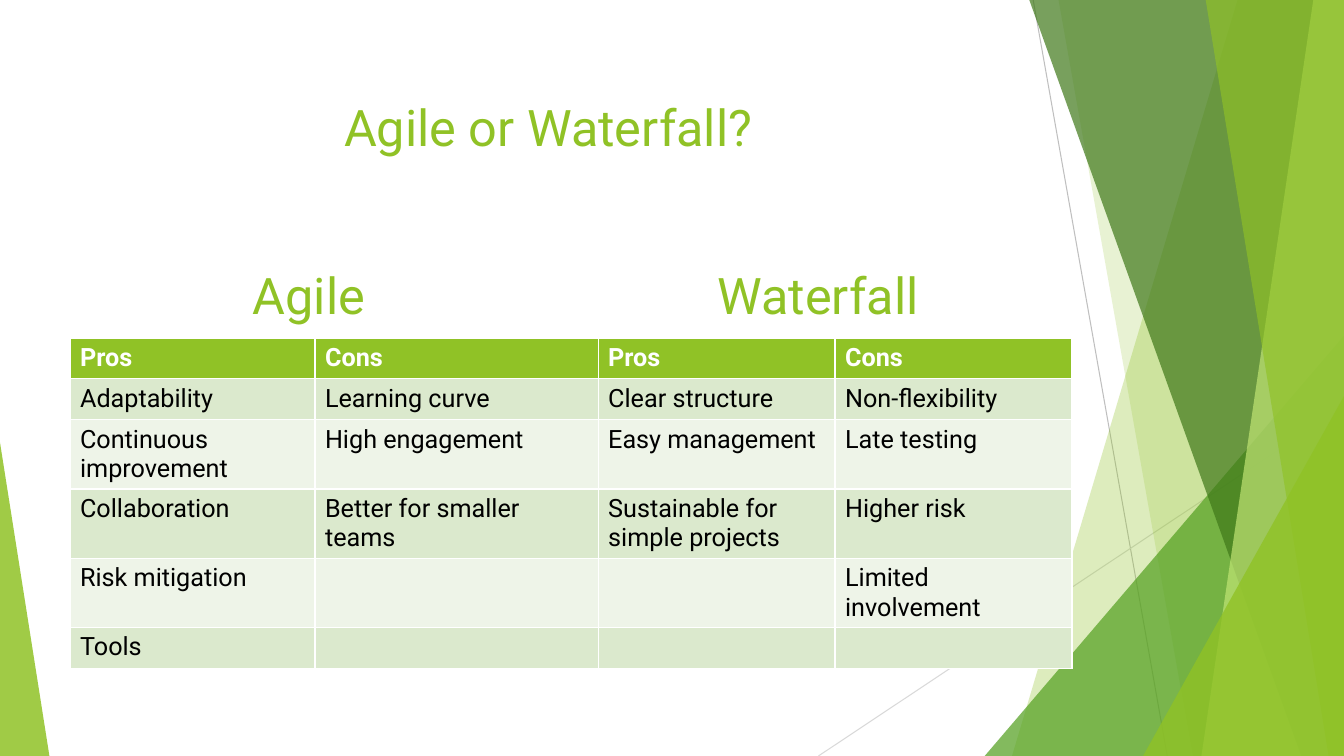
from lxml import etree
from pptx import Presentation
from pptx.dml.color import RGBColor
from pptx.enum.shapes import MSO_CONNECTOR, MSO_SHAPE
from pptx.enum.text import MSO_ANCHOR, MSO_AUTO_SIZE, PP_ALIGN
from pptx.oxml.ns import qn
from pptx.util import Pt

WIDTH, HEIGHT = 960, 540
BLEED = -0.7
FONT = "Roboto"
COLOURS = {
    "green": "90C226",
    "mid": "54A021",
    "dark": "3F7819",
    "lime": "C0E474",
    "grey": "BFBFBF",
    "pale_grey": "D9D9D9",
    "white": "FFFFFF",
    "black": "000000",
    "band": "DBE9CD",
    "pale_band": "EEF4E8",
}
COLUMN_WIDTHS = [175, 202.3, 169.2, 169.2]
ROW_HEIGHT = 29.2
ROWS = [
    ["Pros", "Cons", "Pros", "Cons"],
    ["Adaptability", "Learning curve", "Clear structure", "Non-flexibility"],
    ["Continuous improvement", "High engagement", "Easy management", "Late testing"],
    ["Collaboration", "Better for smaller teams", "Sustainable for simple projects", "Higher risk"],
    ["Risk mitigation", "", "", "Limited involvement"],
    ["Tools", "", "", ""],
]


def colour(name):
    """Return the named colour."""
    return RGBColor.from_string(COLOURS[name])


def style_font(para, size, name):
    """Set the font of a whole paragraph."""
    para.font.name = FONT
    para.font.size = Pt(size)
    para.font.color.rgb = colour(name)


def fill_facet(shape, name, opacity):
    """Give a facet a translucent fill without line or shadow."""
    shape.shadow.inherit = False
    shape.line.fill.background()
    shape.fill.solid()
    shape.fill.fore_color.rgb = colour(name)
    tint = shape.fill._xPr.find(qn("a:solidFill"))[0]
    etree.SubElement(tint, qn("a:alpha")).set("val", str(opacity * 1000))


def add_ray(page, start, end, name):
    """Draw a thin background line."""
    ray = page.shapes.add_connector(
        MSO_CONNECTOR.STRAIGHT, *[Pt(value) for value in start + end])
    ray.line.color.rgb = colour(name)
    ray.line.width = Pt(0.75)
    etree.SubElement(ray._element.spPr, qn("a:effectLst"))


def add_blade(page, top_x, bottom_x, name, opacity):
    """Draw a full-height facet that reaches the right edge."""
    builder = page.shapes.build_freeform(Pt(top_x), Pt(BLEED))
    corners = [(WIDTH, BLEED), (WIDTH, HEIGHT), (bottom_x, HEIGHT)]
    builder.add_line_segments([(Pt(x), Pt(y)) for x, y in corners], close=True)
    fill_facet(builder.convert_to_shape(), name, opacity)


def add_wedge(page, left, top, width, apex, name, opacity):
    """Draw a triangle standing on the bottom edge."""
    wedge = page.shapes.add_shape(
        MSO_SHAPE.ISOSCELES_TRIANGLE, Pt(left), Pt(top), Pt(width), Pt(HEIGHT - top))
    wedge.adjustments[0] = apex
    fill_facet(wedge, name, opacity)


def add_background(page):
    """Draw the rays and facets from back to front."""
    add_ray(page, (738, 0), (833.8, HEIGHT), "grey")
    add_ray(page, (WIDTH, 290.2), (584.6, HEIGHT), "pale_grey")
    add_blade(page, 884.2, 722.9, "green", 30)
    add_blade(page, 756, 852, "green", 20)
    add_wedge(page, 703.4, 239.8, 256.6, 1, "mid", 72)
    add_blade(page, 735, 929.5, "dark", 70)
    add_blade(page, 938.2, 858.2, "lime", 70)
    add_blade(page, 861.1, 949, "green", 65)
    add_wedge(page, 816.5, 283, 143.5, 1, "green", 80)
    add_wedge(page, 0, 316.1, 35.3, 0, "green", 85)


def set_title(page, text):
    """Place and format the title placeholder."""
    title = page.shapes.title
    title.left, title.top, title.width, title.height = Pt(53.3), Pt(64.8), Pt(676.8), Pt(103.7)
    frame = title.text_frame
    frame.text = text
    frame.vertical_anchor = MSO_ANCHOR.TOP
    para = frame.paragraphs[0]
    para.alignment = PP_ALIGN.CENTER
    style_font(para, 36, "green")


def add_heading(page, left, width, text):
    """Add a heading above one half of the table."""
    box = page.shapes.add_textbox(Pt(left), Pt(185), Pt(width), Pt(51))
    frame = box.text_frame
    frame.word_wrap = True
    frame.auto_size = MSO_AUTO_SIZE.SHAPE_TO_FIT_TEXT
    frame.text = text
    style_font(frame.paragraphs[0], 36, "green")


def add_comparison(page):
    """Add the table of pros and cons."""
    table = page.shapes.add_table(
        len(ROWS), len(COLUMN_WIDTHS), Pt(50), Pt(241.4),
        Pt(sum(COLUMN_WIDTHS)), Pt(ROW_HEIGHT * len(ROWS))).table
    for column, width in zip(table.columns, COLUMN_WIDTHS):
        column.width = Pt(width)
    for index, texts in enumerate(ROWS):
        header = index == 0
        fill = "green" if header else ("pale_band", "band")[index % 2]
        for cell, text in zip(table.rows[index].cells, texts):
            cell.text = text
            cell.fill.solid()
            cell.fill.fore_color.rgb = colour(fill)
            para = cell.text_frame.paragraphs[0]
            style_font(para, 18, "white" if header else "black")
            para.font.bold = header


def main():
    """Build and save the slide."""
    deck = Presentation()
    deck.slide_width, deck.slide_height = Pt(WIDTH), Pt(HEIGHT)
    page = deck.slides.add_slide(deck.slide_layouts[5])
    add_background(page)
    set_title(page, "Agile or Waterfall?")
    add_comparison(page)
    add_heading(page, 173.5, 174.2, "Agile")
    add_heading(page, 505.4, 182.2, "Waterfall")
    deck.save("out.pptx")


if __name__ == "__main__":
    main()
